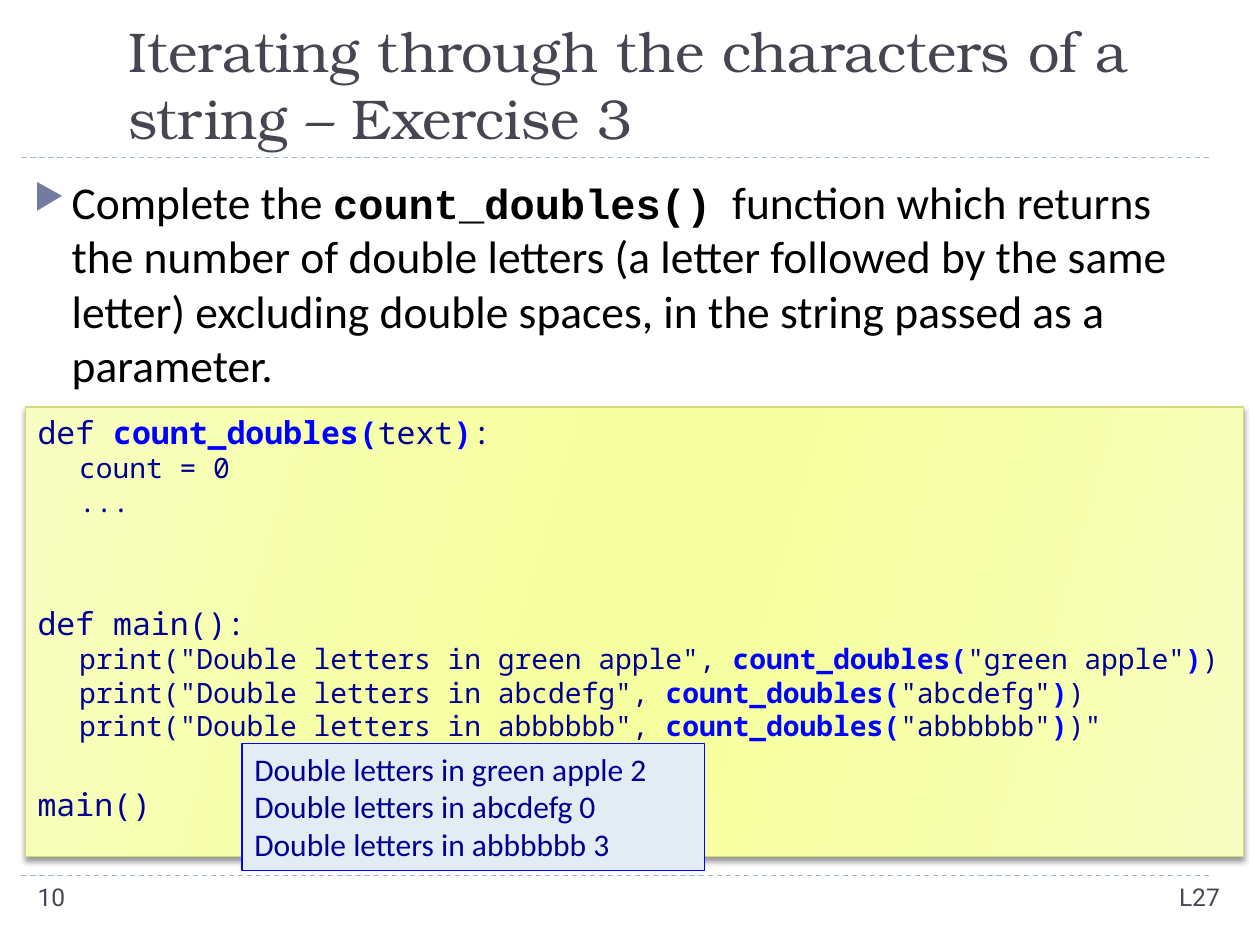
from dataclasses import dataclass

from lxml.etree import SubElement
from pptx import Presentation
from pptx.dml.color import RGBColor
from pptx.enum.dml import MSO_LINE
from pptx.enum.shapes import MSO_CONNECTOR, MSO_SHAPE
from pptx.enum.text import MSO_ANCHOR, MSO_AUTO_SIZE, PP_ALIGN
from pptx.oxml import parse_xml
from pptx.oxml.ns import nsdecls, qn
from pptx.util import Inches, Pt

WIDTH, HEIGHT = 10, 7.5
MARGIN = 0.02 * WIDTH
NAVY, BLUE, SLATE, BLACK = "000090", "0000FF", "464653", "000000"
CODE_FONT = "Noto Sans Mono"
CODE_INDENT = 0.33
BLANK_LINE = 24.5
GRADIENT = [(0, "F8FEC2"), (30, "F6FFA7"), (45, "F6FF9F"),
            (55, "F6FF9F"), (73, "F6FFA7"), (100, "F8FEC2")]


@dataclass
class Box:
    left: float
    top: float
    width: float
    height: float

    def lengths(self) -> tuple:
        return tuple(Inches(n) for n in (self.left, self.top, self.width, self.height))


@dataclass
class CodeLine:
    segments: list
    indented: bool = False
    blank_before: int = 0


def color(value: str) -> RGBColor:
    return RGBColor.from_string(value)


def add_text(paragraph, text: str, *, size: float, font: str, fill: str, bold: bool = False) -> None:
    run = paragraph.add_run()
    run.text = text
    run.font.size = Pt(size)
    run.font.name = font
    run.font.bold = bold
    run.font.color.rgb = color(fill)


def next_paragraph(frame, index: int):
    return frame.add_paragraph() if index else frame.paragraphs[0]


def add_text_box(slide, box: Box):
    frame = slide.shapes.add_textbox(*box.lengths()).text_frame
    frame.word_wrap = True
    return frame


def add_panel(slide, box: Box, outline: str):
    shape = slide.shapes.add_shape(MSO_SHAPE.RECTANGLE, *box.lengths())
    shape.shadow.inherit = False
    shape.line.color.rgb = color(outline)
    shape.line.width = Pt(0.75)
    shape.text_frame.word_wrap = True
    shape.text_frame.vertical_anchor = MSO_ANCHOR.TOP
    return shape


def add_rule(slide, top: float) -> None:
    rule = slide.shapes.add_connector(
        MSO_CONNECTOR.STRAIGHT, Inches(0.17), Inches(top), Inches(9.62), Inches(top))
    rule.line.color.rgb = color("9FB8CD")
    rule.line.width = Pt(0.75)
    rule.line.dash_style = MSO_LINE.DASH
    SubElement(rule._element.spPr, qn("a:effectLst"))


def add_title(slide, text: str) -> None:
    title = slide.shapes.title
    title.left, title.top, title.width, title.height = Box(0.92, 0.17, 8.81, 1.08).lengths()
    frame = title.text_frame
    frame.auto_size = MSO_AUTO_SIZE.NONE
    frame.vertical_anchor = MSO_ANCHOR.BOTTOM
    frame.paragraphs[0].alignment = PP_ALIGN.LEFT
    add_text(frame.paragraphs[0], text, size=32, font="TeX Gyre Bonum", fill=SLATE)


def add_task(slide) -> None:
    paragraph = add_text_box(slide, Box(0.17, 1.33, 9.58, 1.9)).paragraphs[0]
    paragraph.space_before = Pt(6)
    properties = paragraph._p.get_or_add_pPr()
    properties.set("marL", str(Inches(0.3)))
    properties.set("indent", str(Inches(-0.3)))
    SubElement(SubElement(properties, qn("a:buClr")), qn("a:srgbClr"), val="727CA3")
    SubElement(properties, qn("a:buSzPct"), val="76000")
    SubElement(properties, qn("a:buChar"), char="▶")
    add_text(paragraph, "Complete the ", size=26, font="Calibri", fill=BLACK)
    add_text(paragraph, "count_doubles()", size=24, font="Courier New", fill=BLACK, bold=True)
    add_text(paragraph, " ", size=20, font="Courier New", fill=BLACK, bold=True)
    add_text(paragraph, "function which returns the number of double letters (a letter followed "
             "by the same letter) excluding double spaces, in the string passed as a parameter.",
             size=26, font="Calibri", fill=BLACK)


def fill_gradient_with_shadow(shape) -> None:
    stops = "".join(f'<a:gs pos="{position * 1000}"><a:srgbClr val="{value}"/></a:gs>'
                    for position, value in GRADIENT)
    gradient = parse_xml(f'<a:gradFill {nsdecls("a")}><a:gsLst>{stops}</a:gsLst>'
                         f'<a:lin ang="{16 * 60000}" scaled="0"/></a:gradFill>')
    properties = shape._element.spPr
    properties.find(qn("a:prstGeom")).addnext(gradient)
    shadow = SubElement(properties.find(qn("a:effectLst")), qn("a:outerShdw"),
                        blurRad=str(Pt(3)), dist=str(Pt(2)), dir=str(90 * 60000), rotWithShape="0")
    SubElement(SubElement(shadow, qn("a:srgbClr"), val=BLACK), qn("a:alpha"), val="40000")


def print_call(sample: str, ending: str = ")") -> CodeLine:
    return CodeLine([f'print("Double letters in {sample}", ', "count_doubles(",
                     f'"{sample}"', ")", ending], indented=True)


def add_code(slide, lines: list) -> None:
    shape = add_panel(slide, Box(MARGIN, 3.23, 9.67, 3.57), "D2DA7A")
    fill_gradient_with_shadow(shape)
    for index, line in enumerate(lines):
        paragraph = next_paragraph(shape.text_frame, index)
        paragraph.alignment = PP_ALIGN.LEFT
        paragraph.space_before = Pt(BLANK_LINE * line.blank_before)
        if line.indented:
            paragraph._p.get_or_add_pPr().set("marL", str(Inches(CODE_INDENT)))
        for position, segment in enumerate(line.segments):
            called = position % 2 == 1
            add_text(paragraph, segment, size=16 if line.indented else 18, font=CODE_FONT,
                     fill=BLUE if called else NAVY, bold=called)


def add_output(slide, lines: list) -> None:
    shape = add_panel(slide, Box(1.92, 5.9, 3.67, 1.01), BLUE)
    shape.fill.solid()
    shape.fill.fore_color.rgb = color("E3EBF3")
    for index, line in enumerate(lines):
        paragraph = next_paragraph(shape.text_frame, index)
        paragraph.alignment = PP_ALIGN.LEFT
        add_text(paragraph, line, size=18, font="Calibri", fill=NAVY)


def add_footer(slide, text: str, box: Box, alignment: PP_ALIGN) -> None:
    paragraph = add_text_box(slide, box).paragraphs[0]
    paragraph.alignment = alignment
    add_text(paragraph, text, size=14, font="Roboto", fill=SLATE)


def main() -> None:
    presentation = Presentation()
    presentation.slide_width, presentation.slide_height = Inches(WIDTH), Inches(HEIGHT)
    slide = presentation.slides.add_slide(presentation.slide_layouts[5])
    for top in (6.95, 1.25):
        add_rule(slide, top)
    add_title(slide, "Iterating through the characters of a string – Exercise 3")
    add_task(slide)
    add_code(slide, [
        CodeLine(["def ", "count_doubles(", "text", ")", ":"]),
        CodeLine(["count = 0"], indented=True),
        CodeLine(["..."], indented=True),
        CodeLine(["def main():"], blank_before=2),
        print_call("green apple"),
        print_call("abcdefg"),
        print_call("abbbbbb", ')"'),
        CodeLine(["main()"], blank_before=1),
    ])
    add_output(slide, [f"Double letters in {result}"
                       for result in ("green apple 2", "abcdefg 0", "abbbbbb 3")])
    add_footer(slide, "L27", Box(7.28, 6.95, 2.5, 0.4), PP_ALIGN.RIGHT)
    add_footer(slide, "10", Box(MARGIN, 6.95, 2.17, 0.4), PP_ALIGN.LEFT)
    presentation.save("out.pptx")


if __name__ == "__main__":
    main()
